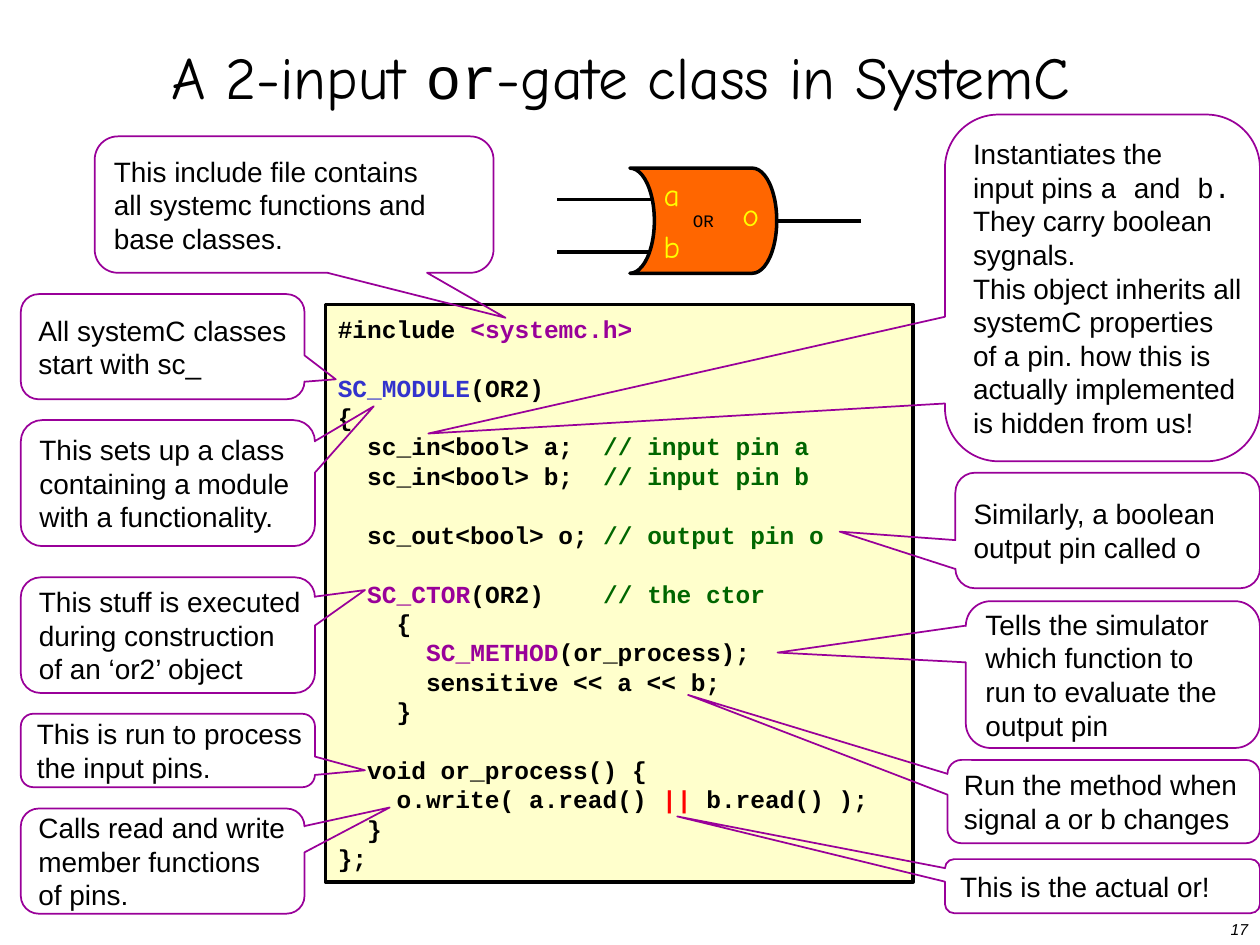
from lxml import etree
from pptx import Presentation
from pptx import util as u
from pptx.dml.color import RGBColor
from pptx.enum import shapes, text
from pptx.oxml.ns import qn

COLOURS = {
    "black": "000000", "purple": "990099", "blue": "3333CC", "green": "006600",
    "red": "FF0000", "yellow": "FFFF00", "orange": "FF6600", "cream": "FFFFCC",
}
SANS, HAND, MONO = "Arial", "Comic Neue", "Courier New"
CODE_LINE = 16.8  # height of one line of code, in points


class SlideBuilder:
    def __init__(self, page):
        self.page = page

    def colour(self, name):
        return RGBColor.from_string(COLOURS[name])

    def add_lines(self, shape, lines, size, font=SANS, colour="black", bold=False,
                  italic=False, align=text.PP_ALIGN.LEFT, wrap=False,
                  anchor=text.MSO_ANCHOR.MIDDLE):
        """Fill a shape; a line is a list of (text, overrides), None leaves a gap."""
        frame = shape.text_frame
        frame.word_wrap = wrap
        frame.vertical_anchor = anchor
        para, gap = None, False
        for line in lines:
            if line is None:
                gap = True
                continue
            para = frame.add_paragraph() if para is not None else frame.paragraphs[0]
            para.alignment = align
            if gap:
                para.space_before = u.Pt(CODE_LINE)
                gap = False
            for words, changes in line:
                span = para.add_run()
                span.text = words
                span.font.size = u.Pt(size)
                span.font.name = changes.get("font", font)
                span.font.bold, span.font.italic = bold, italic
                span.font.color.rgb = self.colour(changes.get("colour", colour))
        return frame

    def textbox(self, left, top, width, height, lines, size, **style):
        box = self.page.shapes.add_textbox(u.Cm(left), u.Cm(top), u.Cm(width), u.Cm(height))
        return self.add_lines(box, lines, size, **style)

    def shape(self, kind, left, top, width, height, line, weight, fill=None):
        shape = self.page.shapes.add_shape(
            kind, u.Cm(left), u.Cm(top), u.Cm(width), u.Cm(height))
        shape.shadow.inherit = False
        if fill:
            shape.fill.solid()
            shape.fill.fore_color.rgb = self.colour(fill)
        else:
            shape.fill.background()
        shape.line.color.rgb = self.colour(line)
        shape.line.width = u.Pt(weight)
        return shape

    def callout(self, left, top, width, height, tip, lines):
        """Tip is the offset from the centre, as a share of width and height."""
        shape = self.shape(shapes.MSO_SHAPE.ROUNDED_RECTANGULAR_CALLOUT,
                           left, top, width, height, "purple", 1)
        shape.adjustments[0], shape.adjustments[1] = tip
        shape.adjustments[2] = 0.17
        self.add_lines(shape, [plain(line) if isinstance(line, str) else line
                               for line in lines], 16)

    def wire(self, start, end, y):
        wire = self.page.shapes.add_connector(
            shapes.MSO_CONNECTOR.STRAIGHT, u.Cm(start), u.Cm(y), u.Cm(end), u.Cm(y))
        wire.line.color.rgb = self.colour("black")
        wire.line.width = u.Pt(2)
        etree.SubElement(wire._element.spPr, qn("a:effectLst"))


def plain(words):
    return [(words, {})]


def tint(words, colour):
    return (words, {"colour": colour})


def mono(words):
    return (words, {"font": MONO})


CODE = [
    [("#include ", {}), tint("<systemc.h>", "purple")],
    None,
    [tint("SC_MODULE", "blue"), ("(OR2)", {})],
    plain("{"),
    [("  sc_in<bool> a;  ", {}), tint("// input pin a", "green")],
    [("  sc_in<bool> b;  ", {}), tint("// input pin b", "green")],
    None,
    [("  sc_out<bool> o; ", {}), tint("// output pin o", "green")],
    None,
    [("  ", {}), tint("SC_CTOR", "purple"), ("(OR2)    ", {}), tint("// the ctor", "green")],
    plain("    {"),
    [("      ", {}), tint("SC_METHOD", "purple"), ("(or_process);", {})],
    plain("      sensitive << a << b;"),
    plain("    }"),
    None,
    plain("  void or_process() {"),
    [("    o.write( a.read() ", {}), tint("||", "red"), (" b.read() );", {})],
    plain("  }"),
    plain("};"),
]

# left, top, width, height, tip, lines
CALLOUTS = [
    (1.91, 2.75, 8.04, 2.75, (0.53, 0.83),
     ["This include file contains", "all systemc functions and", "base classes."]),
    (0.42, 5.93, 5.72, 2.12, (0.61, 0.31),
     ["All systemC classes", "start with sc_"]),
    (0.42, 8.47, 5.93, 2.54, (0.7, -0.61),
     ["This sets up a class", "containing a module", "with a functionality."]),
    (19.05, 2.31, 6.35, 6.99, (-2.14, 0.42),
     ["Instantiates the",
      [("input pins ", {}), mono("a "), ("and", {}), mono(" b.")],
      "They carry boolean", "sygnals.", "This object inherits all",
      "systemC properties", "of a pin. how this is", "actually implemented",
      "is hidden from us!"]),
    (19.26, 9.53, 6.14, 2.33, (-0.88, 0.01),
     ["Similarly, a boolean", [("output pin called ", {}), mono("o")]]),
    (0.42, 11.64, 5.93, 2.33, (0.67, -0.39),
     ["This stuff is executed", "during construction", "of an ‘or2’ object"]),
    (19.47, 12.12, 5.93, 2.96, (-1.14, -0.15),
     ["Tells the simulator", "which function to", "run to evaluate the", "output pin"]),
    (0.42, 14.39, 5.93, 1.48, (0.67, 0.27),
     ["This is run to process", "the input pins."]),
    (19.05, 17.32, 6.35, 1.09, (-1.35, -1.29),
     ["This is the actual or!"]),
    (0.42, 16.3, 5.72, 2.12, (0.8, -0.51),
     ["Calls read and write", "member functions", "of pins."]),
    (19.1, 15.32, 6.3, 1.68, (-1.33, -1.28),
     ["Run the method when", "signal a or b changes"]),
]


def draw_gate(builder):
    for start, end, y in [(13.12, 11.22, 4.02), (17.36, 15.66, 4.45), (13.12, 11.22, 5.08)]:
        builder.wire(start, end, y)
    gate = builder.shape(shapes.MSO_SHAPE.FLOWCHART_STORED_DATA,
                         12.7, 3.39, 2.96, 2.12, "black", 2, "orange")
    gate._element.spPr.xfrm.set("flipH", "1")
    builder.add_lines(gate, [plain("OR")], 10, font=MONO, align=text.PP_ALIGN.CENTER)
    for pin, left, top in [("a", 13.12, 3.39), ("b", 13.12, 4.45), ("o", 14.71, 3.81)]:
        builder.textbox(left, top, 0.85, 1.02, [plain(pin)], 18, font=HAND,
                        colour="yellow", align=text.PP_ALIGN.CENTER)


def main():
    deck = Presentation()
    deck.slide_width, deck.slide_height = u.Cm(25.4), u.Cm(19.05)
    builder = SlideBuilder(deck.slides.add_slide(deck.slide_layouts[6]))

    title = [("A 2-input ", {}), mono("or"), ("-gate class in SystemC", {})]
    frame = builder.textbox(0.64, 0.64, 23.75, 2.03, [title], 34, font=HAND,
                            align=text.PP_ALIGN.CENTER, wrap=True)
    frame.paragraphs[0].line_spacing = 0.8

    listing = builder.shape(shapes.MSO_SHAPE.RECTANGLE,
                            6.56, 6.14, 11.85, 11.64, "black", 2, "cream")
    builder.add_lines(listing, CODE, 14, font=MONO, bold=True)
    draw_gate(builder)
    for callout in CALLOUTS:
        builder.callout(*callout)
    builder.textbox(18.42, 18.42, 6.99, 0.64, [plain("17")], 9, italic=True, wrap=True,
                    align=text.PP_ALIGN.RIGHT, anchor=text.MSO_ANCHOR.TOP)
    deck.save("out.pptx")


if __name__ == "__main__":
    main()
